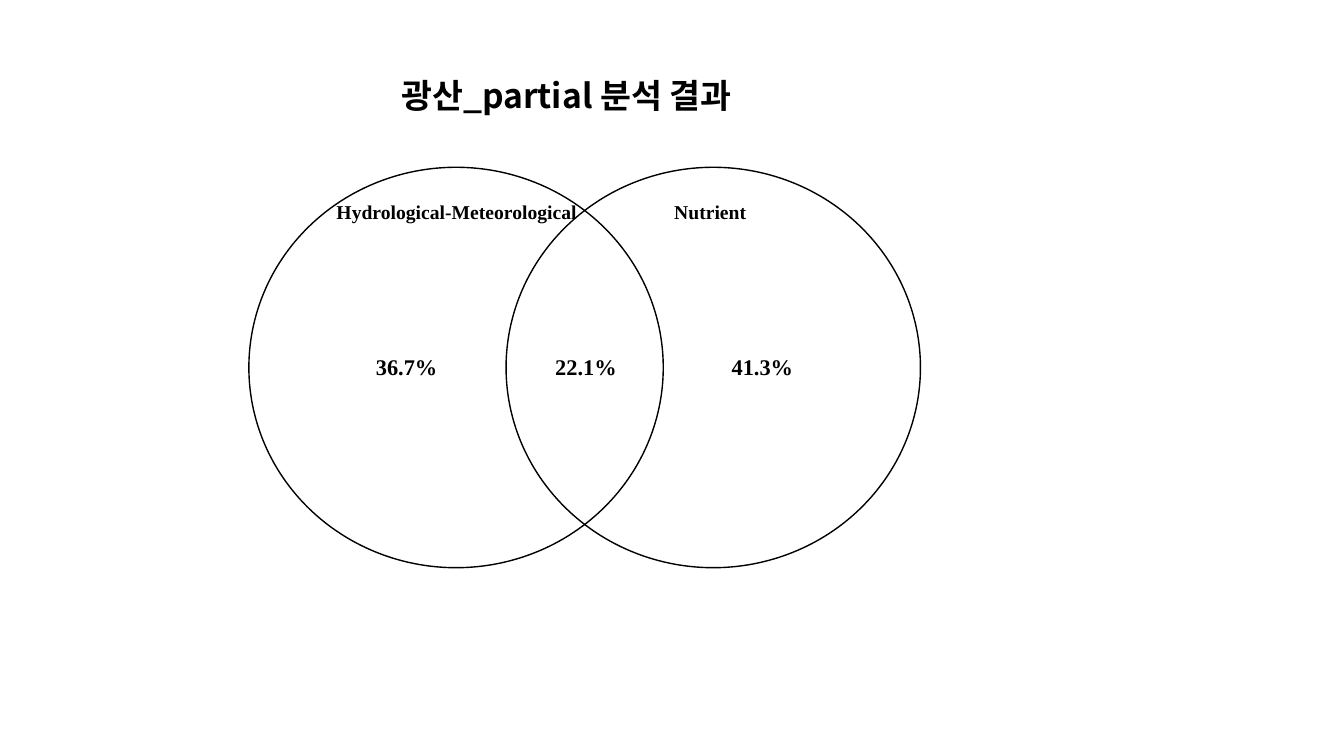
"""Build a slide with a two-circle Venn diagram of partial analysis results."""
from lxml.etree import SubElement
from pptx import Presentation
from pptx.dml.color import RGBColor
from pptx.enum.shapes import MSO_SHAPE as Shape
from pptx.enum.text import MSO_ANCHOR as Anchor, MSO_AUTO_SIZE as AutoSize, PP_ALIGN as Align
from pptx.oxml.ns import qn
from pptx.util import Pt

COLORS = {"ink": "000000"}
TITLE = "광산_partial 분석 결과"
TITLE_FONT = "Noto Sans CJK KR"
LABEL_FONT = "Times New Roman"
TITLE_BOX = (279.4, 49.7, 261.4, 36)

CIRCLE_LEFTS = (361.5, 177.8)
CIRCLE_TOP, CIRCLE_WIDTH, CIRCLE_HEIGHT = 119.5, 296, 286

FACTORS = [("Hydrological-Meteorological", 233.3, 188), ("Nutrient", 474.5, 66.2)]
SHARES = [("36.7%", 261.4, 59), ("22.1%", 389.5, 59), ("41.3%", 515.5, 59)]
ROWS = [(FACTORS, 139, 24.2, 14), (SHARES, 249, 26.6, 16)]


def write(box, text, *, size, font, wrap=False, spacing=None):
    """Fill a box with one bold, left-aligned paragraph."""
    frame = box.text_frame
    frame.word_wrap = wrap
    frame.auto_size = AutoSize.SHAPE_TO_FIT_TEXT
    frame.vertical_anchor = Anchor.TOP
    paragraph = frame.paragraphs[0]
    paragraph.alignment = Align.LEFT
    paragraph.line_spacing = spacing
    run = paragraph.add_run()
    run.text = text
    run.font.size = Pt(size)
    run.font.bold = True
    run.font.color.rgb = RGBColor.from_string(COLORS["ink"])
    run.font.name = font
    SubElement(run.font._element, qn("a:ea"), typeface=font)


def main():
    """Lay out the title, circles and labels."""
    deck = Presentation()
    deck.slide_width, deck.slide_height = Pt(960), Pt(540)
    slide = deck.slides.add_slide(deck.slide_layouts[5])

    title = slide.shapes.title
    title.left, title.top, title.width, title.height = map(Pt, TITLE_BOX)
    write(title, TITLE, size=24, font=TITLE_FONT, wrap=True, spacing=Pt(29.3))

    for left in CIRCLE_LEFTS:
        circle = slide.shapes.add_shape(
            Shape.OVAL, Pt(left), Pt(CIRCLE_TOP), Pt(CIRCLE_WIDTH), Pt(CIRCLE_HEIGHT))
        circle.shadow.inherit = False
        circle.fill.background()
        circle.line.color.rgb = RGBColor.from_string(COLORS["ink"])
        circle.line.width = Pt(1)

    for labels, top, height, size in ROWS:
        for text, left, width in labels:
            label = slide.shapes.add_textbox(Pt(left), Pt(top), Pt(width), Pt(height))
            write(label, text, size=size, font=LABEL_FONT)

    deck.save("out.pptx")


if __name__ == "__main__":
    main()
